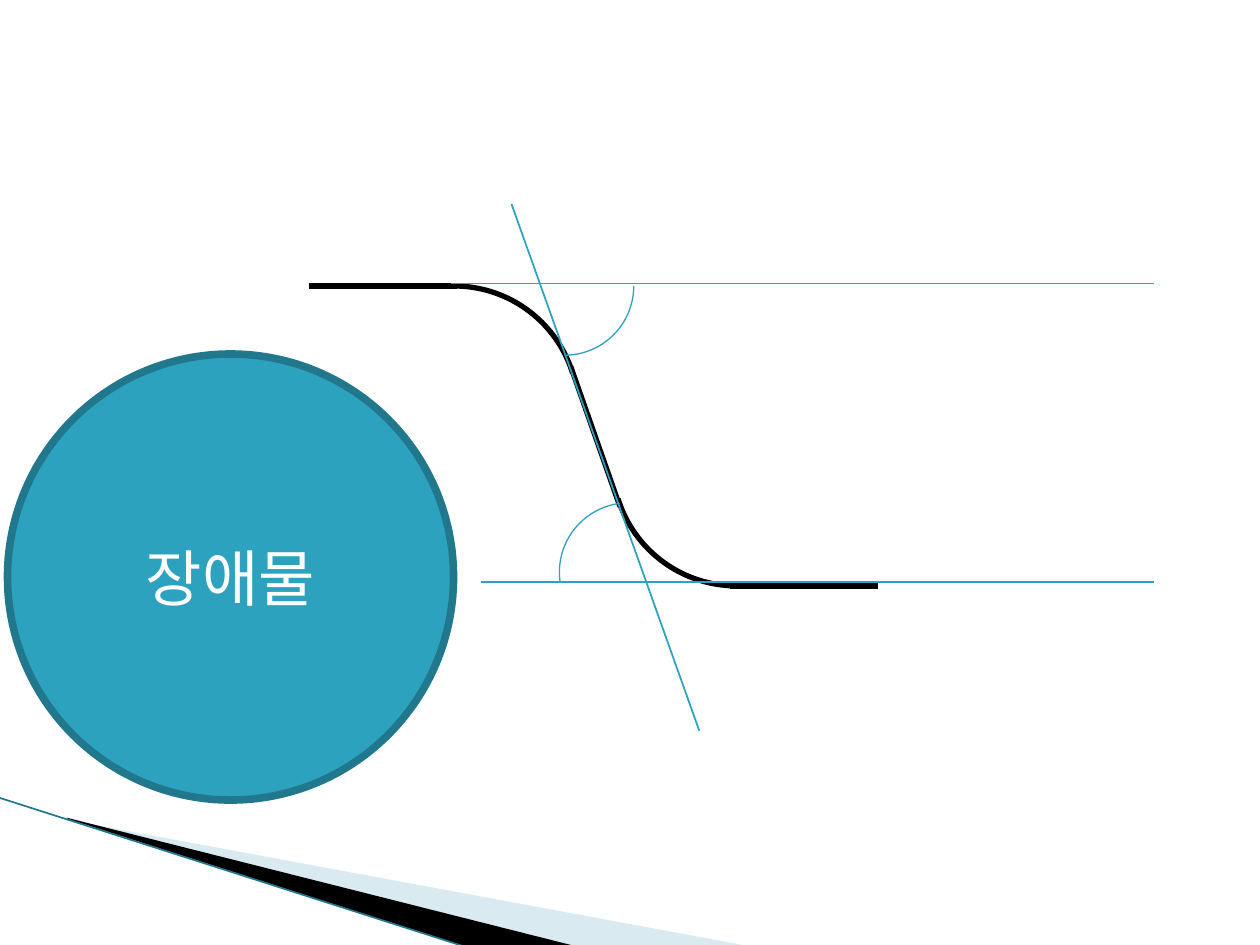
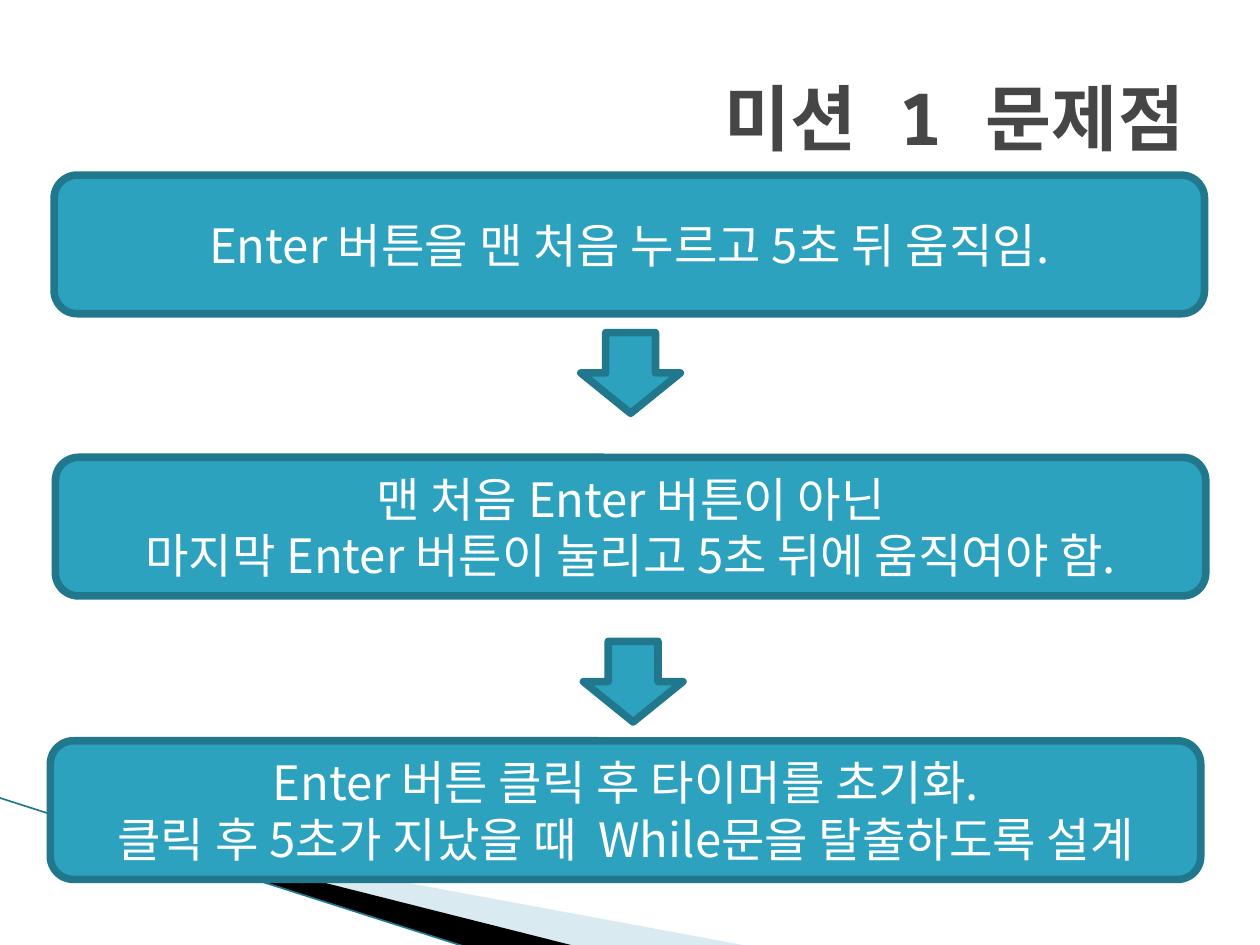
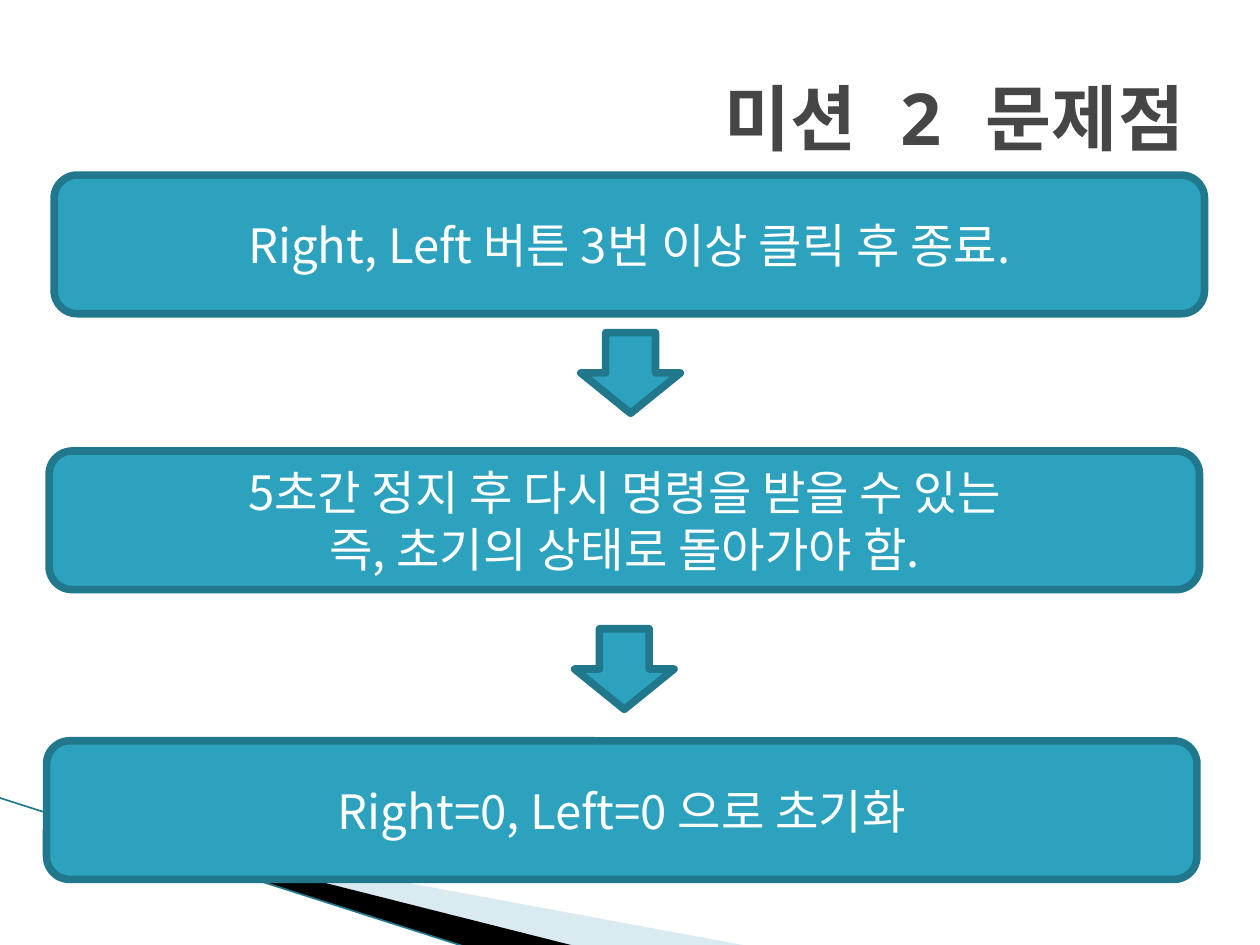
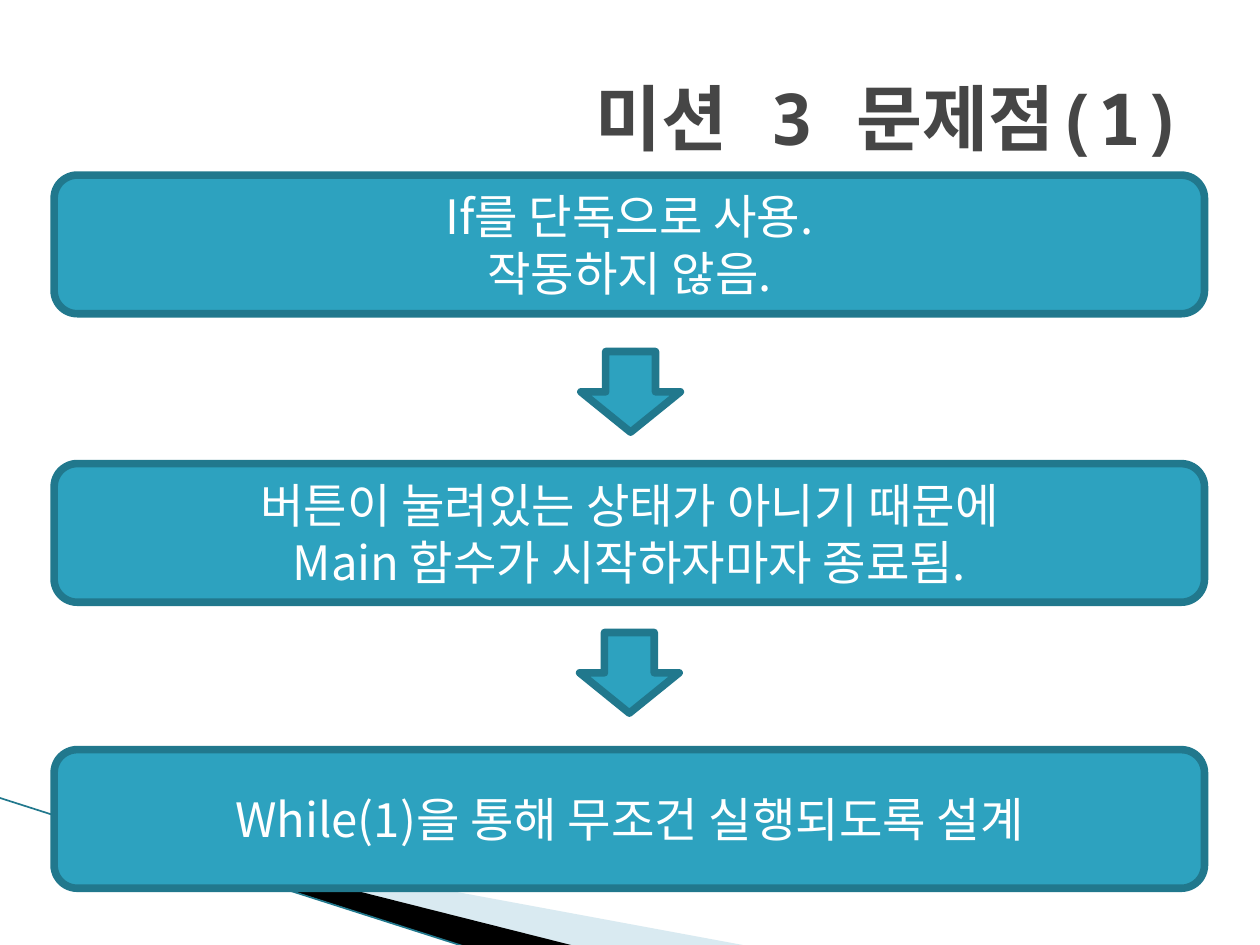
from pptx import Presentation
from pptx.dml.color import RGBColor
from pptx.enum.shapes import MSO_CONNECTOR, MSO_SHAPE
from pptx.enum.text import MSO_ANCHOR, PP_ALIGN
from pptx.oxml.ns import qn
from pptx.util import Inches, Pt
from lxml.etree import SubElement

TEAL = RGBColor(0x2D, 0xA2, 0xBF)
DARK_TEAL = RGBColor(0x21, 0x78, 0x8D)
PALE = RGBColor(0xA0, 0xCB, 0xDC)
BLACK = RGBColor(0, 0, 0)
WHITE = RGBColor(0xFF, 0xFF, 0xFF)
GRAY = RGBColor(0x46, 0x46, 0x46)
BODY_FONT = "Noto Sans CJK KR"
TITLE_FONT = "Noto Sans Mono"
WIDTH, HEIGHT = 10, 7.5

TITLE_AREA = (0.5, 0.3, 9, 1.25)
STEP_SIZE = (9.13, 1.1)
ARROW_SIZE = (0.79, 0.64)
TITLE_STYLE = {"name": TITLE_FONT, "size": Pt(41), "bold": True}
STEP_STYLE = {"name": BODY_FONT, "size": Pt(27)}
OBSTACLE_STYLE = {"name": BODY_FONT, "size": Pt(35)}

WEDGES = [
    (PALE, 40, [(0.55, 6.51), (5.95, 7.51), (4.56, 7.51), (0.55, 6.5)]),
    (BLACK, 100, [(0.53, 6.49), (4.57, 7.51), (3.72, 7.52), (0.54, 6.5)]),
]
EDGE = ((-0.01, 6.33), (3.71, 7.52))

OBSTACLE = ("장애물", (0.06, 2.81, 3.54, 3.54))
TURN = {"size": 1.97, "sweep": (162, 205.58), "color": BLACK, "width": 3}
ANGLE = {"size": 1.1, "sweep": (162, 0), "color": TEAL, "width": 0.75}
TURN_ARCS = [(4.86, 2.68, 180), (2.62, 2.27, 0)]
ANGLE_ARCS = [(3.93, 1.72, 90), (4.44, 3.99, 262.5)]
ROUTE = [((5.79, 4.65), (6.97, 4.65)), ((4.53, 2.91), (4.92, 4.02)), ((2.45, 2.27), (3.63, 2.27))]
GUIDES = [((3.58, 2.25), (9.16, 2.25)), ((3.82, 4.62), (9.16, 4.62)), ((4.06, 1.62), (5.55, 5.8))]

MISSIONS = [
    {
        "title": "미션 1 문제점",
        "steps": [
            (0.43, 1.39, ["Enter 버튼을 맨 처음 누르고 5초 뒤 움직임."]),
            (0.44, 3.63, ["맨 처음 Enter 버튼이 아닌", "마지막 Enter 버튼이 눌리고 5초 뒤에 움직여야 함."]),
            (0.4, 5.88, ["Enter 버튼 클릭 후 타이머를 초기화.", "클릭 후 5초가 지났을 때  While문을 탈출하도록 설계"]),
        ],
        "arrows": [(4.61, 2.64), (4.63, 5.09)],
    },
    {
        "title": "미션 2 문제점",
        "steps": [
            (0.43, 1.39, ["Right, Left 버튼 3번 이상 클릭 후 종료."]),
            (0.39, 3.58, ["5초간 정지 후 다시 명령을 받을 수 있는", "즉, 초기의 상태로 돌아가야 함."]),
            (0.37, 5.88, ["Right=0, Left=0 으로 초기화"]),
        ],
        "arrows": [(4.61, 2.64), (4.56, 4.99)],
    },
    {
        "title": "미션 3 문제점(1)",
        "steps": [
            (0.43, 1.39, ["If를 단독으로 사용.", "작동하지 않음."]),
            (0.43, 3.68, ["버튼이 눌려있는 상태가 아니기 때문에", "Main 함수가 시작하자마자 종료됨."]),
            (0.43, 5.95, ["While(1)을 통해 무조건 실행되도록 설계"]),
        ],
        "arrows": [(4.61, 2.79), (4.6, 5.02)],
    },
]


def apply(target, values):
    for name, value in values.items():
        setattr(target, name, value)


def write(frame, lines, style, color, align):
    apply(frame, {"word_wrap": True, "vertical_anchor": MSO_ANCHOR.MIDDLE})
    for index, line in enumerate(lines):
        para = frame.add_paragraph() if index else frame.paragraphs[0]
        para.alignment = align
        span = para.add_run()
        span.text = line
        apply(span.font, style)
        span.font.color.rgb = color
        SubElement(span.font._element, qn("a:ea"), typeface=style["name"])


def stroke(shape, color, width):
    shape.line.color.rgb = color
    shape.line.width = Pt(width)


def add_line(page, start, end, color, width):
    line = page.shapes.add_connector(MSO_CONNECTOR.STRAIGHT, *map(Inches, start + end))
    stroke(line, color, width)
    SubElement(line.element.spPr, qn("a:effectLst"))
    return line


def add_solid(page, kind, area):
    shape = page.shapes.add_shape(kind, *map(Inches, area))
    shape.shadow.inherit = False
    shape.fill.solid()
    shape.fill.fore_color.rgb = TEAL
    stroke(shape, DARK_TEAL, 4.33)
    return shape


def add_arc(page, left, top, rotation, size, sweep, color, width):
    arc = page.shapes.add_shape(MSO_SHAPE.ARC, *map(Inches, (left, top, size, size)))
    arc.shadow.inherit = False
    arc.fill.background()
    arc.rotation = rotation
    arc.adjustments[0], arc.adjustments[1] = sweep
    stroke(arc, color, width)


def add_wedge(page, color, opacity, points):
    corners = [(Inches(x), Inches(y)) for x, y in points]
    builder = page.shapes.build_freeform(*corners[0])
    builder.add_line_segments(corners[1:], close=True)
    wedge = builder.convert_to_shape()
    wedge.shadow.inherit = False
    wedge.fill.solid()
    wedge.fill.fore_color.rgb = color
    wedge.line.fill.background()
    if opacity < 100:
        tint = wedge.element.spPr.find(qn("a:solidFill"))[0]
        SubElement(tint, qn("a:alpha"), val=str(opacity * 1000))
    return wedge


def decorate_master(deck, page):
    parts = [add_wedge(page, *wedge) for wedge in WEDGES]
    parts.append(add_line(page, *EDGE, DARK_TEAL, 0.95))
    tree = deck.slide_master.shapes.element
    for index, part in enumerate(parts):
        part.element.xpath(".//p:cNvPr")[0].set("id", str(100 + index))
        tree.insert(2 + index, part.element)


def draw_route(page):
    for arc in TURN_ARCS:
        add_arc(page, *arc, **TURN)
    for start, end in ROUTE:
        add_line(page, start, end, BLACK, 3)
    label, area = OBSTACLE
    circle = add_solid(page, MSO_SHAPE.OVAL, area)
    write(circle.text_frame, [label], OBSTACLE_STYLE, WHITE, PP_ALIGN.CENTER)
    for start, end in GUIDES:
        add_line(page, start, end, TEAL, 1)
    for arc in ANGLE_ARCS:
        add_arc(page, *arc, **ANGLE)


def draw_mission(page, mission):
    title = page.shapes.title
    apply(title, dict(zip(("left", "top", "width", "height"), map(Inches, TITLE_AREA))))
    write(title.text_frame, [mission["title"]], TITLE_STYLE, GRAY, PP_ALIGN.RIGHT)
    for left, top, lines in mission["steps"]:
        box = add_solid(page, MSO_SHAPE.ROUNDED_RECTANGLE, (left, top) + STEP_SIZE)
        write(box.text_frame, lines, STEP_STYLE, WHITE, PP_ALIGN.CENTER)
    for place in mission["arrows"]:
        add_solid(page, MSO_SHAPE.DOWN_ARROW, place + ARROW_SIZE)


deck = Presentation()
apply(deck, {"slide_width": Inches(WIDTH), "slide_height": Inches(HEIGHT)})
title_only, blank = deck.slide_layouts[5], deck.slide_layouts[6]
route_page = deck.slides.add_slide(blank)
decorate_master(deck, route_page)
draw_route(route_page)
for mission in MISSIONS:
    draw_mission(deck.slides.add_slide(title_only), mission)
deck.save("out.pptx")
